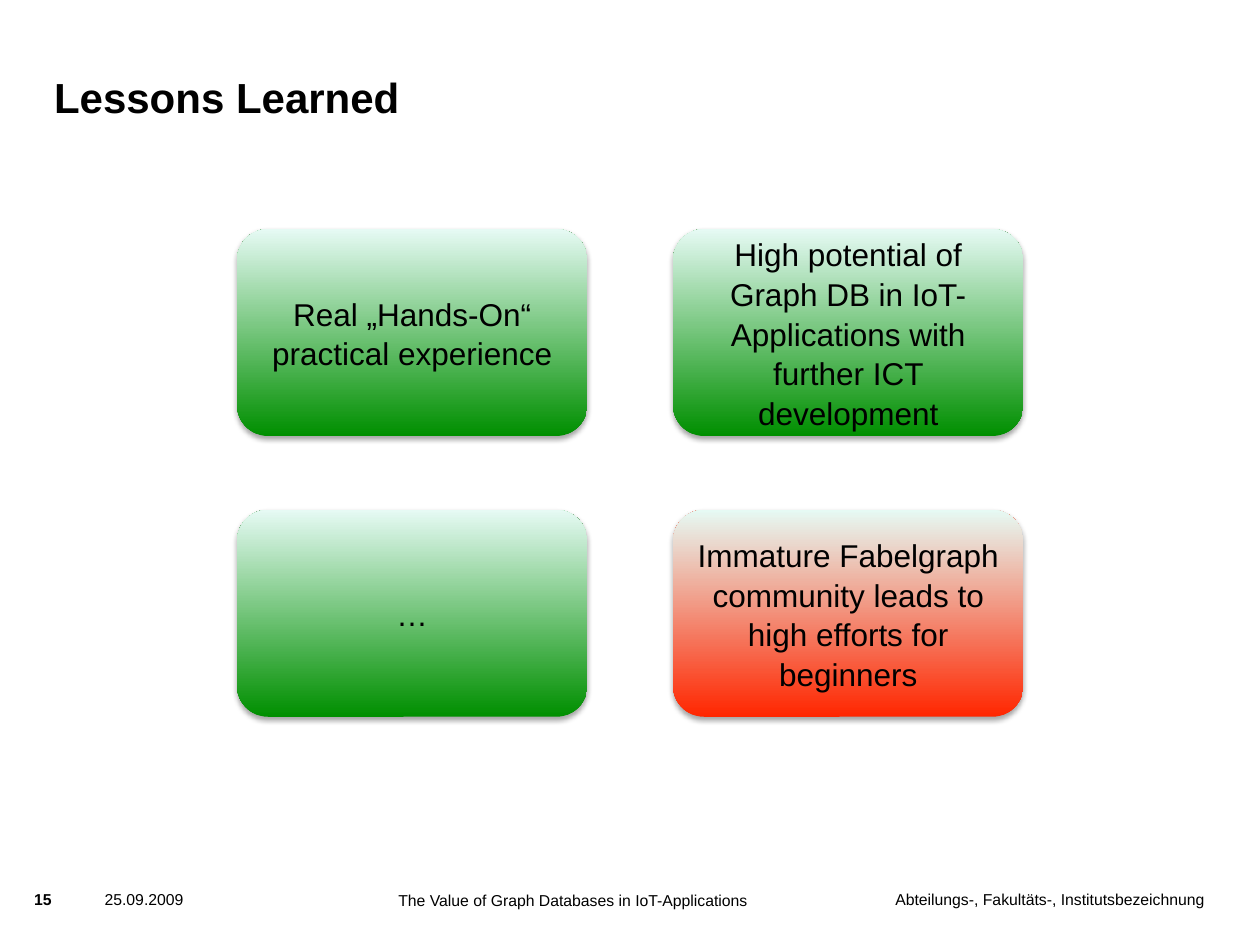
from lxml import etree
from pptx import Presentation
from pptx.dml.color import RGBColor
from pptx.enum import shapes, text
from pptx.oxml import ns
from pptx.util import Cm, Pt

FONT = "Arial"
COLORS = {
    "text": "000000",
    "shadow": "000000",
    "positive": "008F00",
    "negative": "FF2600",
    "highlight": "E6FAF4",
}
CARD_LEFT, CARD_TOP = 4.78, 4.62
CARD_WIDTH, CARD_HEIGHT = 7.06, 4.17
COLUMN_STEP, ROW_STEP = 8.79, 5.66
LESSONS = [
    ("Real „Hands-On“ practical experience", "positive"),
    ("High potential of Graph DB in IoT-Applications with further ICT development", "positive"),
    ("…", "positive"),
    ("Immature Fabelgraph community leads to high efforts for beginners", "negative"),
]


def color(name):
    return RGBColor.from_string(COLORS[name])


def write_text(shape, content, size, align, anchor, margin=0, bold=False, wrap=True):
    frame = shape.text_frame
    frame.text = content
    frame.word_wrap = wrap
    frame.auto_size = text.MSO_AUTO_SIZE.NONE
    frame.vertical_anchor = anchor
    frame.margin_left = frame.margin_right = Cm(margin)
    frame.margin_top = frame.margin_bottom = Cm(margin)
    paragraph = frame.paragraphs[0]
    paragraph.alignment = align
    font = paragraph.runs[0].font
    font.name = FONT
    font.size = Pt(size)
    font.bold = bold
    font.color.rgb = color("text")
    return paragraph


def add_title(slide, content):
    title = slide.shapes.title
    title.left, title.top, title.width, title.height = Cm(1.09), Cm(0.91), Cm(19.2), Cm(1.55)
    write_text(title, content, 24, text.PP_ALIGN.LEFT, text.MSO_ANCHOR.BOTTOM, bold=True)


def add_footer(slide, content, left, top, width, align=text.PP_ALIGN.LEFT, bold=False, wrap=True):
    box = slide.shapes.add_textbox(Cm(left), Cm(top), Cm(width), Cm(0.36))
    write_text(box, content, 9, align, text.MSO_ANCHOR.TOP, bold=bold, wrap=wrap)


def add_shadow(shape):
    shape.shadow.inherit = False
    effects = shape._element.spPr.find(ns.qn("a:effectLst"))
    shadow = etree.SubElement(effects, ns.qn("a:outerShdw"), blurRad=str(Pt(3)),
                              dist=str(Pt(1.8)), dir="5400000", rotWithShape="0")
    tint = etree.SubElement(shadow, ns.qn("a:srgbClr"), val=COLORS["shadow"])
    etree.SubElement(tint, ns.qn("a:alpha"), val="35000")


def add_card(slide, content, tone, column, row):
    card = slide.shapes.add_shape(
        shapes.MSO_SHAPE.ROUNDED_RECTANGLE,
        Cm(CARD_LEFT + column * COLUMN_STEP), Cm(CARD_TOP + row * ROW_STEP),
        Cm(CARD_WIDTH), Cm(CARD_HEIGHT))
    card.adjustments[0] = 0.15
    card.fill.gradient()
    card.fill.gradient_angle = 90
    for stop, name, position in zip(card.fill.gradient_stops, (tone, "highlight"), (0, 1)):
        stop.color.rgb = color(name)
        stop.position = position
    card.line.fill.background()
    add_shadow(card)
    paragraph = write_text(card, content, 18, text.PP_ALIGN.CENTER,
                           text.MSO_ANCHOR.MIDDLE, margin=0.13)
    paragraph.line_spacing = 1.05


def main():
    presentation = Presentation()
    presentation.slide_width, presentation.slide_height = Cm(25.4), Cm(19.05)
    slide = presentation.slides.add_slide(presentation.slide_layouts[5])
    add_footer(slide, "Abteilungs-, Fakultäts-, Institutsbezeichnung", 16.69, 17.93, 7.59,
               align=text.PP_ALIGN.RIGHT)
    add_footer(slide, "25.09.2009", 2.11, 17.93, 2.26)
    add_footer(slide, "The Value of Graph Databases in IoT-Applications", 8.03, 17.96, 9.35)
    add_footer(slide, "15", 0.69, 17.93, 0.38, bold=True, wrap=False)
    add_title(slide, "Lessons Learned")
    for index, (content, tone) in enumerate(LESSONS):
        row, column = divmod(index, 2)
        add_card(slide, content, tone, column, row)
    presentation.save("out.pptx")


if __name__ == "__main__":
    main()
